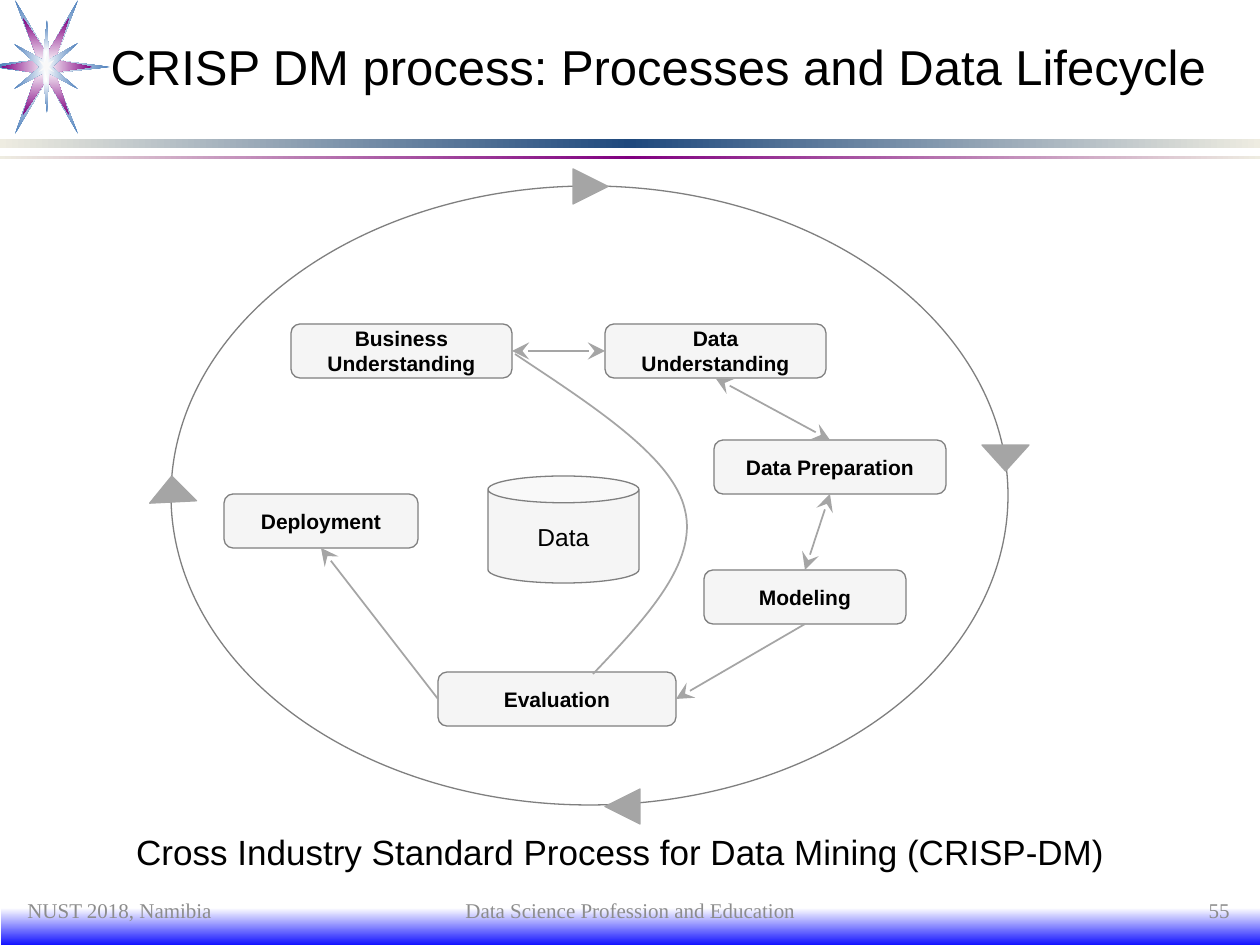
from lxml import etree
from pptx import Presentation
from pptx.dml.color import RGBColor
from pptx.enum.shapes import MSO_CONNECTOR, MSO_SHAPE
from pptx.enum.text import MSO_ANCHOR, MSO_AUTO_SIZE, PP_ALIGN
from pptx.oxml.ns import qn
from pptx.util import Emu, Pt

SCALE = 914400 / 126
LEFT, CENTER, RIGHT = PP_ALIGN.LEFT, PP_ALIGN.CENTER, PP_ALIGN.RIGHT
MIDDLE, TOP = MSO_ANCHOR.MIDDLE, MSO_ANCHOR.TOP
RECT, ROUND, OVAL = MSO_SHAPE.RECTANGLE, MSO_SHAPE.ROUNDED_RECTANGLE, MSO_SHAPE.OVAL
CAN, TRIANGLE = MSO_SHAPE.CAN, MSO_SHAPE.ISOSCELES_TRIANGLE
STRAIGHT = MSO_CONNECTOR.STRAIGHT
DOWN, ACROSS = 90, 0
GREY, EDGE, PALE = "A5A5A5", "7F7F7F", "F2F2F2"

BARS = [
    ((1, 908, 1260, 40), ["FFFFFF", "0000FF"], DOWN),
    ((0, 139, 1260, 9), ["EEECE1", "1F497D", "EEECE1"], ACROSS),
    ((0, 156, 1260, 3), ["EEECE1", "800080", "EEECE1"], ACROSS),
]
STAR = [
    ("4F81BD", [(38, 60), (15, 0), (47, 54), (78, 0), (55, 60), (110, 67), (54, 73),
                (78, 134), (47, 79), (15, 134), (37, 73), (0, 68), (0, 64)]),
    ("800080", [(38, 60), (23, 18), (47, 54), (69, 18), (55, 60), (92, 67),
                (55, 72), (69, 115), (47, 79), (23, 115), (37, 73), (1, 67)]),
    ("4F81BD", [(14, 44), (43, 60), (47, 20), (49, 60), (78, 43), (52, 67),
                (78, 89), (49, 73), (47, 113), (43, 73), (14, 89), (40, 67)]),
    ("F9F9F9", [(39, 60), (45, 63), (47, 54), (48, 63), (54, 60), (49, 67),
                (54, 72), (48, 69), (47, 78), (45, 69), (39, 72), (44, 67)]),
]
# name: left, top, width, lines of text
STEPS = {
    "business": (291, 324, 221, ["Business", "Understanding"]),
    "data": (605, 324, 221, ["Data Understanding"]),
    "prep": (714, 440, 232, ["Data Preparation"]),
    "model": (704, 570, 202, ["Modeling"]),
    "deploy": (224, 494, 194, ["Deployment"]),
    "eval": (438, 672, 238, ["Evaluation"]),
}
STEP_HEIGHT = 54
# from, side, to, side, arrowheads at both ends
LINKS = [
    ("business", 3, "data", 1, True),
    ("data", 2, "prep", 0, True),
    ("prep", 2, "model", 0, True),
    ("model", 2, "eval", 3, False),
    ("eval", 1, "deploy", 2, False),
]
MARKS = [
    ((573, 169, 35, 35), 90),
    ((982, 445, 47, 26), 180),
    ((605, 789, 35, 35), 270),
    ((149, 476, 47, 26), 357.1),
]
CURVE = [(593, 674), (645, 619), (698, 563), (685, 510), (673, 457), (593, 406), (515, 354)]
FOOT = [
    ((15, 893, 294, 35), "NUST 2018, Namibia", LEFT),
    ((431, 893, 399, 35), "Data Science Profession and Education", CENTER),
    ((948, 893, 294, 35), "55", RIGHT),
]


def px(n):
    return Emu(round(n * SCALE))


def color(code):
    return RGBColor.from_string(code)


def node(parent, tag, **attrs):
    return etree.SubElement(parent, qn(tag), {k: str(v) for k, v in attrs.items()})


def paint(shape, fill=None, line=None, width=0.75, alpha=None):
    shape.shadow.inherit = False
    if fill:
        shape.fill.solid()
        shape.fill.fore_color.rgb = color(fill)
    else:
        shape.fill.background()
    if alpha:
        rgb = shape._element.spPr.find(qn("a:solidFill"))[0]
        node(rgb, "a:alpha", val=alpha * 1000)
    if line:
        shape.line.color.rgb = color(line)
        shape.line.width = Pt(width)
    else:
        shape.line.fill.background()


def blend(shape, codes, angle=None):
    """Fill with evenly spaced stops, along an angle or out from the centre."""
    paint(shape)
    shape.fill.gradient()
    grad = shape._element.spPr.find(qn("a:gradFill"))
    for child in list(grad):
        grad.remove(child)
    stops = node(grad, "a:gsLst")
    for i, code in enumerate(codes):
        stop = node(stops, "a:gs", pos=100000 * i // (len(codes) - 1))
        node(stop, "a:srgbClr", val=code)
    if angle is None:
        way = node(grad, "a:path", path="rect")
        node(way, "a:fillToRect", l=50000, t=50000, r=50000, b=50000)
    else:
        node(grad, "a:lin", ang=angle * 60000, scaled=0)


def write(shape, lines, size, align=CENTER, anchor=MIDDLE, font="Arial", code="000000", bold=False):
    frame = shape.text_frame
    frame.word_wrap = True
    frame.auto_size = MSO_AUTO_SIZE.NONE
    frame.vertical_anchor = anchor
    for i, line in enumerate(lines):
        para = frame.add_paragraph() if i else frame.paragraphs[0]
        para.alignment = align
        para.space_before = Pt(0)
        run = para.add_run()
        run.text = line
        run.font.name, run.font.size, run.font.bold = font, Pt(size), bold
        run.font.color.rgb = color(code)


def add(slide, kind, box):
    return slide.shapes.add_shape(kind, *map(px, box))


def outline(slide, points, close=True):
    pen = slide.shapes.build_freeform(*points[0], scale=SCALE)
    pen.add_line_segments(points[1:], close=close)
    return pen.convert_to_shape()


def curve(slide, points):
    """Draw cubic segments: a start, then two handles and an end for each."""
    shape = outline(slide, points, close=False)
    paint(shape, line=GREY, width=1)
    track = next(shape._element.iter(qn("a:path")))
    legs = track.findall(qn("a:lnTo"))
    for i in range(0, len(legs), 3):
        bend = node(track, "a:cubicBezTo")
        for leg in legs[i:i + 3]:
            bend.append(leg[0])
            track.remove(leg)


def link(slide, start, out, end, into, both):
    line = slide.shapes.add_connector(STRAIGHT, 0, 0, 0, 0)
    line.begin_connect(start, out)
    line.end_connect(end, into)
    line.line.color.rgb = color(GREY)
    line.line.width = Pt(1)
    props = line._element.spPr
    for tag in ["a:headEnd", "a:tailEnd"] if both else ["a:tailEnd"]:
        node(props.find(qn("a:ln")), tag, type="stealth", w="lg", len="lg")
    node(props, "a:effectLst")


def place(shape, box):
    shape.left, shape.top, shape.width, shape.height = map(px, box)


def frame(slide):
    for box, codes, angle in BARS:
        blend(add(slide, RECT, box), codes, angle)
    for code, points in STAR[:-1]:
        blend(outline(slide, points), ["FFFFFF", code])
    code, points = STAR[-1]
    paint(outline(slide, points), code)


def cycle(slide):
    paint(add(slide, OVAL, (171, 186, 837, 619)), "FFFFFF", EDGE)
    steps = {}
    for name, (left, top, width, lines) in STEPS.items():
        step = steps[name] = add(slide, ROUND, (left, top, width, STEP_HEIGHT))
        paint(step, PALE, EDGE, alpha=70)
        write(step, lines, 12, bold=True)
    store = add(slide, CAN, (488, 476, 151, 107))
    paint(store, PALE, EDGE, alpha=70)
    write(store, ["Data"], 14)
    for start, out, end, into, both in LINKS:
        link(slide, steps[start], out, steps[end], into, both)
    curve(slide, CURVE)
    for box, turn in MARKS:
        mark = add(slide, TRIANGLE, box)
        mark.rotation = turn
        paint(mark, GREY, GREY)


def words(slide):
    title, body = slide.placeholders
    place(title, (98, 25, 1134, 82))
    write(title, ["CRISP DM process: Processes and Data Lifecycle"], 28, LEFT)
    place(body, (15, 824, 1211, 69))
    props = body.text_frame.paragraphs[0]._p.get_or_add_pPr()
    props.set("marL", "0")
    props.set("indent", "0")
    node(props, "a:buNone")
    write(body, ["Cross Industry Standard Process for Data Mining (CRISP-DM)"], 20, anchor=TOP)
    for box, text, align in FOOT:
        note = slide.shapes.add_textbox(*map(px, box))
        write(note, [text], 12, align, font="Times New Roman", code="8C8C8C")


def main():
    deck = Presentation()
    deck.slide_width, deck.slide_height = px(1260), px(945)
    slide = deck.slides.add_slide(deck.slide_layouts[1])
    frame(slide)
    cycle(slide)
    words(slide)
    deck.save("out.pptx")


if __name__ == "__main__":
    main()
